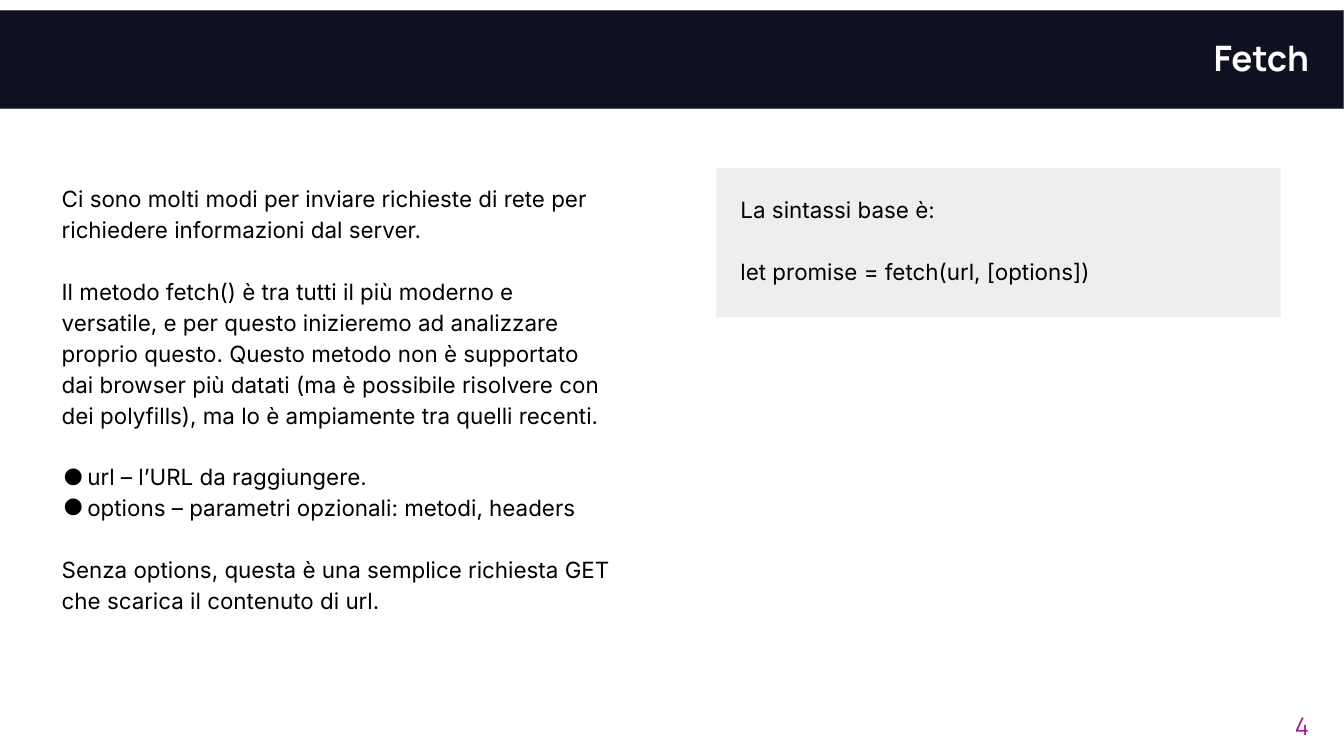
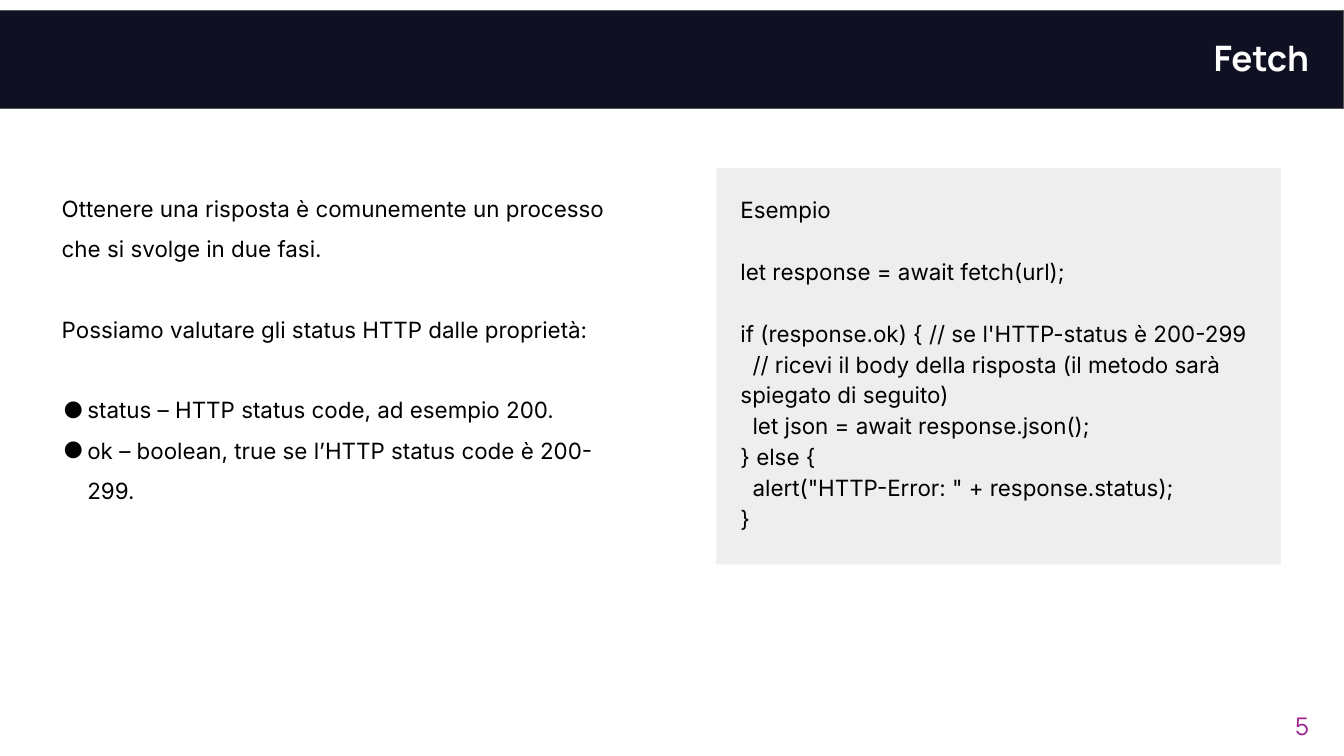
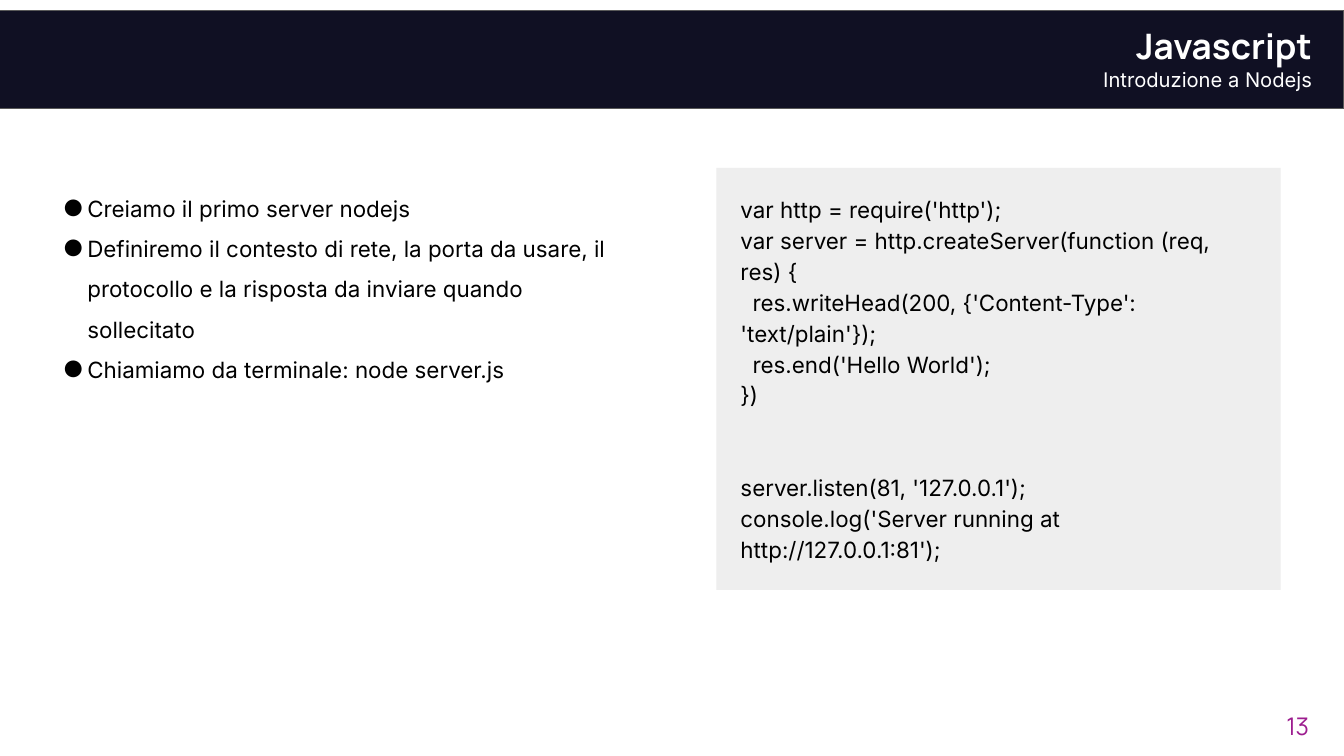
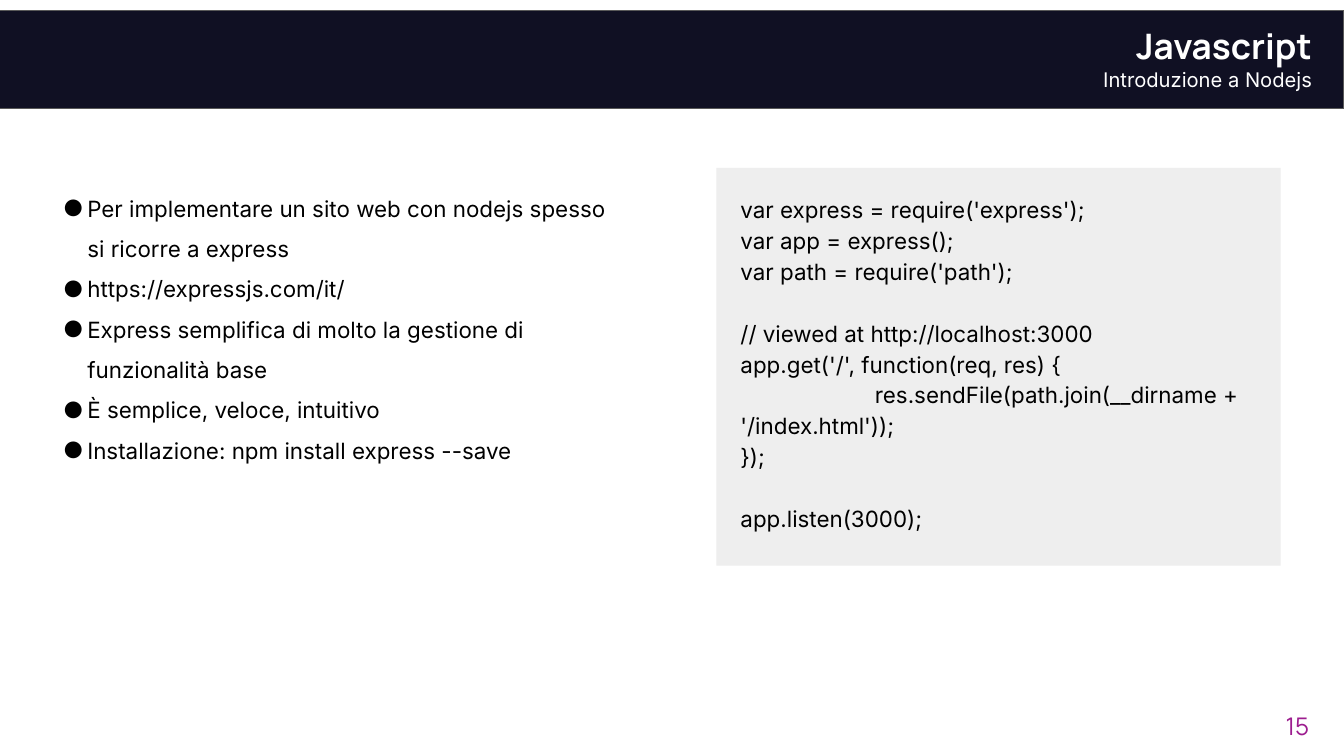
from dataclasses import dataclass

from lxml import etree
from pptx import Presentation
from pptx.dml.color import RGBColor
from pptx.enum.shapes import MSO_SHAPE
from pptx.enum.text import MSO_ANCHOR, PP_ALIGN
from pptx.oxml.ns import qn
from pptx.util import Inches, Pt

RECT = MSO_SHAPE.RECTANGLE
TOP = MSO_ANCHOR.TOP
LEFT, RIGHT = PP_ALIGN.LEFT, PP_ALIGN.RIGHT
PLAIN, BULLET, INSET, TAB = "plain", "bullet", "inset", "tab"

FETCH = {"title": "Fetch", "subtitle": None}
NODE = {"title": "Javascript", "subtitle": "Introduzione a Nodejs"}

SLIDES = [
    {
        **FETCH, "number": 4, "spacing": 1.15, "code_height": 1.11,
        "body": [
            (0, PLAIN, "Ci sono molti modi per inviare richieste di rete per richiedere informazioni dal server."),
            (1, PLAIN, "Il metodo fetch() è tra tutti il più moderno e versatile, e per questo inizieremo ad "
                       "analizzare proprio questo. Questo metodo non è supportato dai browser più datati (ma è "
                       "possibile risolvere con dei polyfills), ma lo è ampiamente tra quelli recenti."),
            (1, BULLET, "url – l’URL da raggiungere."),
            (0, BULLET, "options – parametri opzionali: metodi, headers"),
            (1, PLAIN, "Senza options, questa è una semplice richiesta GET che scarica il contenuto di url."),
        ],
        "code": [
            (0, PLAIN, "La sintassi base è:"),
            (1, PLAIN, "let promise = fetch(url, [options])"),
        ],
    },
    {
        **FETCH, "number": 5, "spacing": 1.5, "code_height": 2.95,
        "body": [
            (0, PLAIN, "Ottenere una risposta è comunemente un processo che si svolge in due fasi."),
            (1, PLAIN, "Possiamo valutare gli status HTTP dalle proprietà:"),
            (1, BULLET, "status – HTTP status code, ad esempio 200."),
            (0, BULLET, "ok – boolean, true se l’HTTP status code è 200-299."),
        ],
        "code": [
            (0, PLAIN, "Esempio"),
            (1, PLAIN, "let response = await fetch(url);"),
            (1, PLAIN, "if (response.ok) { // se l'HTTP-status è 200-299"),
            (0, INSET, "// ricevi il body della risposta (il metodo sarà spiegato di seguito)"),
            (0, INSET, "let json = await response.json();"),
            (0, PLAIN, "} else {"),
            (0, INSET, 'alert("HTTP-Error: " + response.status);'),
            (0, PLAIN, "}"),
        ],
    },
    {
        **NODE, "number": 13, "spacing": 1.5, "code_height": 3.14,
        "body": [
            (0, BULLET, "Creiamo il primo server nodejs"),
            (0, BULLET, "Definiremo il contesto di rete, la porta da usare, il protocollo e la risposta da "
                        "inviare quando sollecitato"),
            (0, BULLET, "Chiamiamo da terminale: node server.js"),
        ],
        "code": [
            (0, PLAIN, "var http = require('http');"),
            (0, PLAIN, "var server = http.createServer(function (req, res) {"),
            (0, INSET, "res.writeHead(200, {'Content-Type': 'text/plain'});"),
            (0, INSET, "res.end('Hello World');"),
            (0, PLAIN, "})"),
            (2, PLAIN, "server.listen(81, '127.0.0.1');"),
            (0, PLAIN, "console.log('Server running at http://127.0.0.1:81');"),
        ],
    },
    {
        **NODE, "number": 15, "spacing": 1.5, "code_height": 2.96,
        "body": [
            (0, BULLET, "Per implementare un sito web con nodejs spesso si ricorre a express"),
            (0, BULLET, "https://expressjs.com/it/"),
            (0, BULLET, "Express semplifica di molto la gestione di funzionalità base"),
            (0, BULLET, "È semplice, veloce, intuitivo"),
            (0, BULLET, "Installazione: npm install express --save"),
        ],
        "code": [
            (0, PLAIN, "var express = require('express');"),
            (0, PLAIN, "var app = express();"),
            (0, PLAIN, "var path = require('path');"),
            (1, PLAIN, "// viewed at http://localhost:3000"),
            (0, PLAIN, "app.get('/', function(req, res) {"),
            (0, TAB, "res.sendFile(path.join(__dirname + '/index.html'));"),
            (0, PLAIN, "});"),
            (1, PLAIN, "app.listen(3000);"),
        ],
    },
]


@dataclass(frozen=True)
class Theme:
    band: str = "101023"
    band_line: str = "595959"
    panel: str = "EEEEEE"
    ink: str = "000000"
    light: str = "FFFFFF"
    accent: str = "9D1D8F"
    heading_font: str = "Manrope"
    body_font: str = "Inter"
    title_size: float = 18.8
    subtitle_size: float = 10.8
    body_size: float = 12
    number_size: float = 13
    line_factor: float = 1.2
    code_spacing: float = 1.15


THEME = Theme()
INDENTS = {PLAIN: (0, 0), BULLET: (0.19, -0.18), INSET: (0, 0.09), TAB: (0, 1)}
COLUMN_TOP, COLUMN_WIDTH = 1.25, 4.2


def set_insets(tf, insets):
    tf.word_wrap = True
    tf.vertical_anchor = TOP
    tf.margin_left, tf.margin_top, tf.margin_right, tf.margin_bottom = map(Inches, insets)


def style_paragraph(p, font, size, color, align=LEFT, bold=False):
    p.alignment = align
    for r in p.runs:
        r.font.name = font
        r.font.size = Pt(size)
        r.font.bold = bold
        r.font.color.rgb = RGBColor.from_string(color)


def add_box(s, box, fill, line=None):
    sp = s.shapes.add_shape(RECT, *map(Inches, box))
    sp.shadow.inherit = False
    sp.fill.solid()
    sp.fill.fore_color.rgb = RGBColor.from_string(fill)
    if line:
        sp.line.color.rgb = RGBColor.from_string(line)
        sp.line.width = Pt(0.75)
    else:
        sp.line.fill.background()
    return sp


def add_label(s, box, insets, text, *style, bold=False):
    sp = s.shapes.add_textbox(*map(Inches, box))
    tf = sp.text_frame
    set_insets(tf, insets)
    tf.text = text
    style_paragraph(tf.paragraphs[0], *style, align=RIGHT, bold=bold)


def indent_paragraph(p, kind):
    left, first = INDENTS[kind]
    pPr = p._p.get_or_add_pPr()
    pPr.set("marL", str(Inches(left)))
    pPr.set("indent", str(Inches(first)))
    if kind == BULLET:
        color = etree.SubElement(pPr, qn("a:buClr"))
        etree.SubElement(color, qn("a:srgbClr"), val=THEME.ink)
        etree.SubElement(pPr, qn("a:buFont"), typeface=THEME.body_font)
        etree.SubElement(pPr, qn("a:buChar"), char="●")


def fill_lines(tf, lines, spacing):
    for i, (blank_lines, kind, text) in enumerate(lines):
        p = tf.paragraphs[0] if i == 0 else tf.add_paragraph()
        p.text = text
        p.line_spacing = spacing
        p.space_before = Pt(blank_lines * THEME.body_size * THEME.line_factor * spacing)
        style_paragraph(p, THEME.body_font, THEME.body_size, THEME.ink)
        indent_paragraph(p, kind)


def add_header(s, title, subtitle):
    add_box(s, (-0.01, 0.08, 10.01, 0.73), THEME.band, THEME.band_line)
    title_style = (THEME.heading_font, THEME.title_size, THEME.light)
    if subtitle:
        insets = (0.1,) * 4
        add_label(s, (4.57, 0.08, 5.29, 0.35), insets, title, *title_style, bold=True)
        add_label(s, (4.57, 0.41, 5.29, 0.35), insets, subtitle,
                  THEME.body_font, THEME.subtitle_size, THEME.light)
    else:
        add_label(s, (4.45, 0.27, 5.29, 0.35), (0.1, 0, 0, 0), title, *title_style, bold=True)


def build_slide(prs, content):
    s = prs.slides.add_slide(prs.slide_layouts[6])
    add_header(s, content["title"], content["subtitle"])
    add_label(s, (9.14, 5.19, 0.6, 0.43), (0.1, 0.1, 0, 0.1), str(content["number"]),
              THEME.heading_font, THEME.number_size, THEME.accent)

    body = s.shapes.add_textbox(*map(Inches, (0.46, COLUMN_TOP, COLUMN_WIDTH, 3.95)))
    set_insets(body.text_frame, (0, 0.1, 0.1, 0.1))
    fill_lines(body.text_frame, content["body"], content["spacing"])

    code = add_box(s, (5.33, COLUMN_TOP, COLUMN_WIDTH, content["code_height"]), THEME.panel)
    set_insets(code.text_frame, (0.18,) * 4)
    fill_lines(code.text_frame, content["code"], THEME.code_spacing)


def main():
    prs = Presentation()
    prs.slide_width = Inches(10)
    prs.slide_height = prs.slide_width * 9 // 16
    for content in SLIDES:
        build_slide(prs, content)
    prs.save("out.pptx")


if __name__ == "__main__":
    main()
